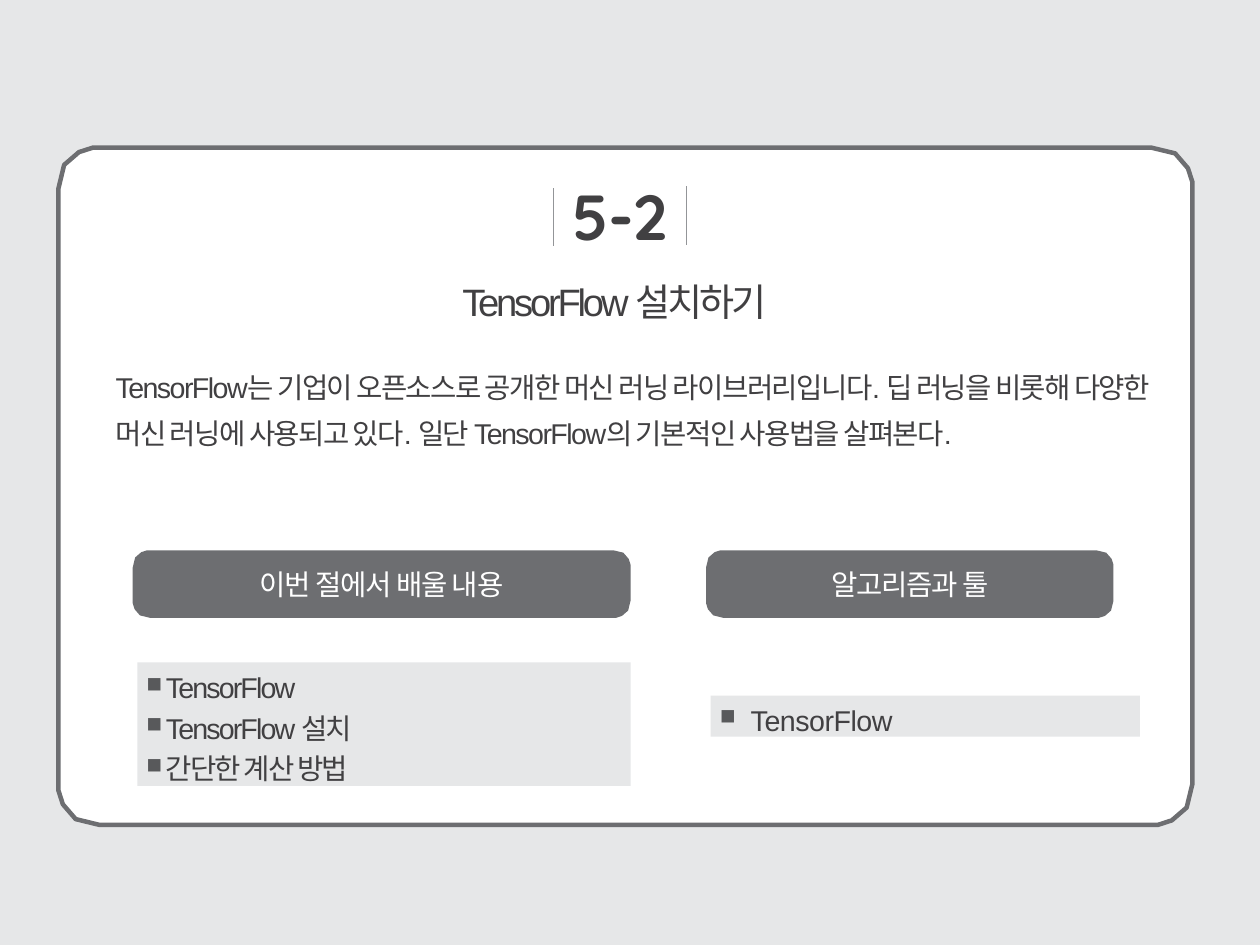
"""Build the opening slide of section 5-2 on installing TensorFlow."""
from lxml.etree import SubElement
from pptx import Presentation
from pptx.dml.color import RGBColor
from pptx.enum.shapes import MSO_CONNECTOR, MSO_SHAPE
from pptx.enum.text import MSO_ANCHOR, MSO_AUTO_SIZE, PP_ALIGN
from pptx.oxml.ns import qn
from pptx.util import Inches, Pt

WHITE = RGBColor(0xFF, 0xFF, 0xFF)
PALE = RGBColor(0xE6, 0xE7, 0xE8)
GRAY = RGBColor(0x6D, 0x6E, 0x71)
RULE_GRAY = RGBColor(0x93, 0x95, 0x98)
INK = RGBColor(0x41, 0x40, 0x42)
BULLET_COLOR = "58595B"

SLIDE_SIZE = (11.01, 8.26)
PANEL = (0.51, 1.29, 9.91, 5.92)
PANEL_RADIUS = 0.36
TAB_RADIUS = 0.15
CORNER = [(1, 0), (0.84, 0), (0.5, 0.11), (0.14, 0.42), (0, 1)]

NUMBER_RULES = [(4.84, 1.64), (6, 1.63)]
RULE_HEIGHT = 0.51

INTRO = (
    "TensorFlow는 기업이 오픈소스로 공개한 머신 러닝 라이브러리입니다. 딥 러닝을 비롯해 "
    "다양한 머신 러닝에 사용되고 있다. 일단 TensorFlow의 기본적인 사용법을 살펴본다."
)
TEXTS = [
    {"text": "5-2", "box": (4.99, 1.55, 1.04, 0.67), "size": 40,
     "font": "Quicksand", "bold": True, "spacing": -0.4, "line": 1},
    {"text": "TensorFlow 설치하기", "box": (4.03, 2.43, 2.89, 0.4), "size": 24,
     "font": "Arial", "bold": False, "spacing": -2, "line": 1},
    {"text": INTRO, "box": (1, 3.13, 9.08, 0.82), "size": 18,
     "font": "Arial", "bold": False, "spacing": -1, "line": 1.35},
]
TABS = [
    ("이번 절에서 배울 내용", (1.16, 4.81, 4.35, 0.59)),
    ("알고리즘과 툴", (6.17, 4.81, 3.56, 0.59)),
]
LISTS = [
    {"items": ["TensorFlow", "TensorFlow 설치", "간단한 계산 방법"],
     "box": (1.2, 5.79, 4.31, 1.08), "indent": 0.25, "spacing": -1.2},
    {"items": ["TensorFlow"],
     "box": (6.21, 6.08, 3.75, 0.36), "indent": 0.35, "spacing": -0.3},
]
BULLET_LEFT = 0.08


def inches(values):
    return [Inches(value) for value in values]


def add_text(paragraph, text, font, size, color, spacing, bold=False):
    run = paragraph.add_run()
    run.text = text
    run.font.name = font
    run.font.size = Pt(size)
    run.font.bold = bold
    run.font.color.rgb = color
    run.font._element.set("spc", str(round(spacing * 100)))


def prepare_frame(shape, left=0, top=0):
    frame = shape.text_frame
    frame.word_wrap = True
    frame.margin_left, frame.margin_top = inches((left, top))
    frame.margin_right = frame.margin_bottom = 0
    return frame


def add_rounded(slide, box, radius, fill):
    left, top, width, height = box
    right, bottom = left + width, top + height
    points = [(left + x * radius, top + y * radius) for x, y in CORNER]
    points += [(left + y * radius, bottom - x * radius) for x, y in CORNER]
    points += [(right - x * radius, bottom - y * radius) for x, y in CORNER]
    points += [(right - y * radius, top + x * radius) for x, y in CORNER]
    start, *rest = [inches(point) for point in points]
    builder = slide.shapes.build_freeform(*start)
    builder.add_line_segments(rest, close=True)
    shape = builder.convert_to_shape()
    shape.shadow.inherit = False
    shape.fill.solid()
    shape.fill.fore_color.rgb = fill
    shape.line.fill.background()
    return shape


def add_rule(slide, left, top):
    ends = inches((left, top + RULE_HEIGHT, left, top))
    rule = slide.shapes.add_connector(MSO_CONNECTOR.STRAIGHT, *ends)
    rule.line.color.rgb = RULE_GRAY
    rule.line.width = Pt(0.5)
    SubElement(rule._element.spPr, qn("a:effectLst"))


def add_bullet(paragraph, indent):
    properties = paragraph._p.get_or_add_pPr()
    properties.set("marL", str(Inches(indent)))
    properties.set("indent", str(Inches(BULLET_LEFT - indent)))
    color = SubElement(properties, qn("a:buClr"))
    SubElement(color, qn("a:srgbClr"), val=BULLET_COLOR)
    SubElement(properties, qn("a:buSzPct"), val="75000")
    SubElement(properties, qn("a:buChar"), char="■")


def add_list(slide, items, box, indent, spacing):
    shape = slide.shapes.add_shape(MSO_SHAPE.RECTANGLE, *inches(box))
    shape.shadow.inherit = False
    shape.fill.solid()
    shape.fill.fore_color.rgb = PALE
    shape.line.fill.background()
    frame = prepare_frame(shape, top=0.06)
    frame.vertical_anchor = MSO_ANCHOR.MIDDLE
    frame.auto_size = MSO_AUTO_SIZE.SHAPE_TO_FIT_TEXT
    for index, item in enumerate(items):
        paragraph = frame.add_paragraph() if index else frame.paragraphs[0]
        paragraph.alignment = PP_ALIGN.LEFT
        paragraph.space_before = Pt(4)
        add_bullet(paragraph, indent)
        add_text(paragraph, item, "Arial", 18, INK, spacing)


def main():
    presentation = Presentation()
    presentation.slide_width, presentation.slide_height = inches(SLIDE_SIZE)
    slide = presentation.slides.add_slide(presentation.slide_layouts[6])
    slide.background.fill.solid()
    slide.background.fill.fore_color.rgb = PALE

    panel = add_rounded(slide, PANEL, PANEL_RADIUS, WHITE)
    panel.line.color.rgb = GRAY
    panel.line.width = Pt(2.83)
    for left, top in NUMBER_RULES:
        add_rule(slide, left, top)

    for item in TEXTS:
        frame = prepare_frame(slide.shapes.add_textbox(*inches(item["box"])), left=0.01)
        frame.auto_size = MSO_AUTO_SIZE.SHAPE_TO_FIT_TEXT
        paragraph = frame.paragraphs[0]
        paragraph.line_spacing = item["line"]
        add_text(paragraph, item["text"], item["font"], item["size"], INK,
                 item["spacing"], item["bold"])

    for label, box in TABS:
        frame = prepare_frame(add_rounded(slide, box, TAB_RADIUS, GRAY))
        frame.vertical_anchor = MSO_ANCHOR.MIDDLE
        paragraph = frame.paragraphs[0]
        paragraph.alignment = PP_ALIGN.CENTER
        add_text(paragraph, label, "DejaVu Sans Mono", 18, WHITE, -0.7)

    for content in LISTS:
        add_list(slide, **content)

    presentation.save("out.pptx")


if __name__ == "__main__":
    main()
